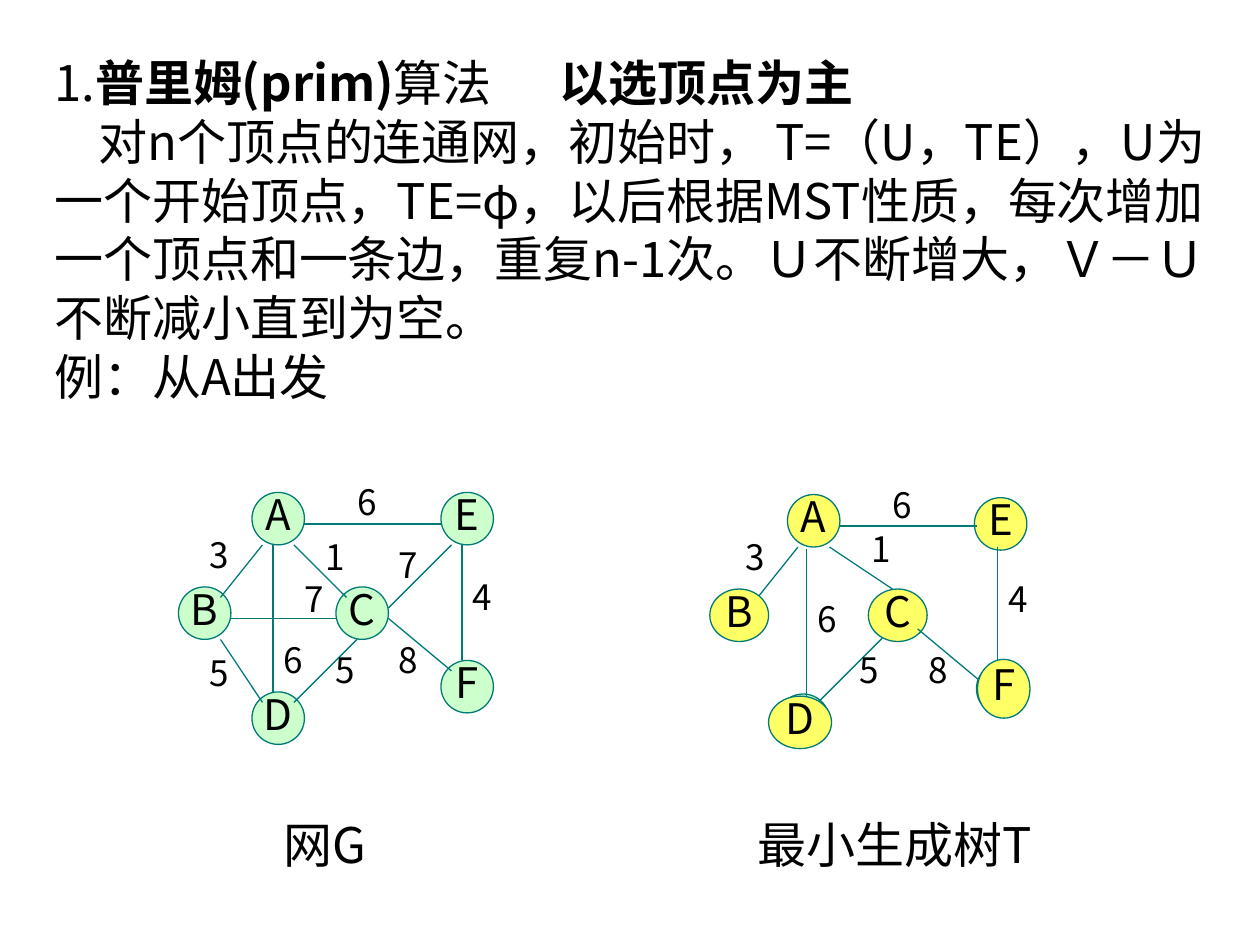
from dataclasses import dataclass

from lxml import etree
from pptx import Presentation
from pptx import util as u
from pptx.dml import color
from pptx.enum import shapes, text
from pptx.oxml import ns

PX = 7620  # EMU per px, 120 px to the inch
FONT = "Noto Sans CJK SC"
COLORS = {"ink": "000000", "edge": "007A77", "net": "CCFFCC", "tree": "FFFF66"}


@dataclass
class Node:
    name: str
    x: int
    y: int
    w: int = 50
    h: int = 50
    fill: str = "tree"


@dataclass
class Edge:
    x1: int
    y1: int
    x2: int
    y2: int


@dataclass
class Weight:
    value: str
    x: int
    y: int


def px(n: int) -> u.Emu:
    return u.Emu(n * PX)


def rgb(name: str) -> color.RGBColor:
    return color.RGBColor.from_string(COLORS[name])


def set_attrs(obj, values: dict) -> None:
    for name, value in values.items():
        setattr(obj, name, value)


def add_run(p, words: str, size: int, bold: bool = False) -> None:
    r = p.add_run()
    r.text = words
    set_attrs(r.font, {"size": u.Pt(size), "bold": bold, "name": FONT})
    r.font.color.rgb = rgb("ink")
    ea = etree.SubElement(r.font._element, ns.qn("a:ea"))
    ea.set("typeface", FONT)


def style_line(line) -> None:
    line.color.rgb = rgb("edge")
    line.width = u.Pt(0.75)


def add_text_box(s, x: int, y: int, w: int, h: int, wrap: bool = True):
    tf = s.shapes.add_textbox(*map(px, (x, y, w, h))).text_frame
    set_attrs(tf, {"word_wrap": wrap, "auto_size": text.MSO_AUTO_SIZE.SHAPE_TO_FIT_TEXT})
    return tf


def draw_node(s, node: Node) -> None:
    sp = s.shapes.add_shape(shapes.MSO_SHAPE.OVAL, *map(px, (node.x, node.y, node.w, node.h)))
    sp.shadow.inherit = False
    sp.fill.solid()
    sp.fill.fore_color.rgb = rgb(node.fill)
    style_line(sp.line)
    if node.name:
        tf = sp.text_frame
        set_attrs(tf, {"word_wrap": False, "vertical_anchor": text.MSO_ANCHOR.MIDDLE})
        p = tf.paragraphs[0]
        set_attrs(p, {"alignment": text.PP_ALIGN.CENTER, "line_spacing": 0.8})
        add_run(p, node.name, 24)


def draw_edge(s, edge: Edge) -> None:
    ends = map(px, (edge.x1, edge.y1, edge.x2, edge.y2))
    c = s.shapes.add_connector(shapes.MSO_CONNECTOR.STRAIGHT, *ends)
    style_line(c.line)
    etree.SubElement(c._element.spPr, ns.qn("a:effectLst"))


def draw_weight(s, weight: Weight) -> None:
    tf = add_text_box(s, weight.x, weight.y, 20, 28)
    set_attrs(tf, dict.fromkeys(("margin_left", "margin_top", "margin_right", "margin_bottom"), 0))
    p = tf.paragraphs[0]
    p.line_spacing = 0.7
    add_run(p, weight.value, 20)


def draw_graph(s, back: list[Node], edges: list[Edge], front: list[Node],
               weights: list[Weight]) -> None:
    for node in back:
        draw_node(s, node)
    for edge in edges:
        draw_edge(s, edge)
    for node in front:
        draw_node(s, node)
    for weight in weights:
        draw_weight(s, weight)


def draw_intro(s) -> None:
    tf = add_text_box(s, 40, 44, 1120, 348)
    title = tf.paragraphs[0]
    for words, bold in (("1.", False), ("普里姆(prim)", True), ("算法\t", False),
                        ("以选顶点为主", True)):
        add_run(title, words, 28, bold)
    tabs = etree.SubElement(title._p.get_or_add_pPr(), ns.qn("a:tabLst"))
    etree.SubElement(tabs, ns.qn("a:tab"), pos=str(px(481)), algn="l")

    # First-line indent; punctuation stays inside the right margin
    body = tf.add_paragraph()
    pPr = body._p.get_or_add_pPr()
    pPr.set("indent", str(px(42)))
    pPr.set("hangingPunct", "0")
    add_run(body, "对n个顶点的连通网，初始时， T=（U，TE），U为一个开始顶点，TE=φ，"
                  "以后根据MST性质，每次增加一个顶点和一条边，重复n-1次。"
                  "Ｕ不断增大，Ｖ－Ｕ不断减小直到为空。", 28)
    add_run(tf.add_paragraph(), "例：从A出发", 28)


# Network G
NET_NODES = [Node(*n, fill="net") for n in (
    ("C", 320, 559), ("A", 240, 469), ("D", 240, 659),
    ("E", 420, 469), ("B", 170, 559), ("F", 420, 629))]
NET_EDGES = [Edge(*e) for e in (
    (250, 519, 210, 569), (210, 609, 250, 669), (220, 589, 320, 589), (260, 519, 260, 659),
    (280, 519, 330, 569), (340, 609, 280, 669), (430, 519, 370, 579), (370, 589, 430, 639),
    (440, 519, 440, 629), (290, 499, 420, 499))]
NET_WEIGHTS = [Weight(*w) for w in (
    ("3", 200, 519), ("7", 290, 561), ("1", 310, 521), ("8", 380, 619), ("7", 380, 529),
    ("4", 450, 559), ("5", 320, 629), ("5", 200, 631), ("6", 270, 619), ("6", 340, 469))]

# Minimum spanning tree T; the unnamed green nodes show at the rims of D and F
TREE_BACK = [Node("", 740, 661, fill="net"), Node("", 930, 631, fill="net"),
             Node("A", 750, 471), Node("E", 928, 474), Node("C", 827, 561, 56)]
TREE_FRONT = [Node("B", 676, 561, 56), Node("D", 732, 663, 60), Node("F", 931, 628, 50, 56)]
TREE_EDGES = [Edge(*e) for e in (
    (760, 521, 720, 571), (790, 521, 850, 561), (800, 501, 930, 501), (950, 521, 950, 631),
    (768, 523, 768, 664), (840, 608, 780, 668), (874, 599, 934, 649))]
TREE_WEIGHTS = [Weight(*w) for w in (
    ("3", 710, 521), ("1", 830, 513), ("6", 850, 471), ("4", 960, 561),
    ("6", 779, 580), ("5", 819, 629), ("8", 884, 629))]


def main() -> None:
    prs = Presentation()
    set_attrs(prs, {"slide_width": px(1200), "slide_height": px(900)})
    s = prs.slides.add_slide(prs.slide_layouts[6])

    draw_graph(s, NET_NODES, NET_EDGES, [], NET_WEIGHTS)
    draw_graph(s, TREE_BACK, TREE_EDGES, TREE_FRONT, TREE_WEIGHTS)
    draw_intro(s)

    # Captions
    for words, x, w in (("网G", 258, 115), ("最小生成树T", 710, 294)):
        tf = add_text_box(s, x, 770, w, 68, wrap=False)
        add_run(tf.paragraphs[0], words, 28)

    prs.save("out.pptx")


if __name__ == "__main__":
    main()
